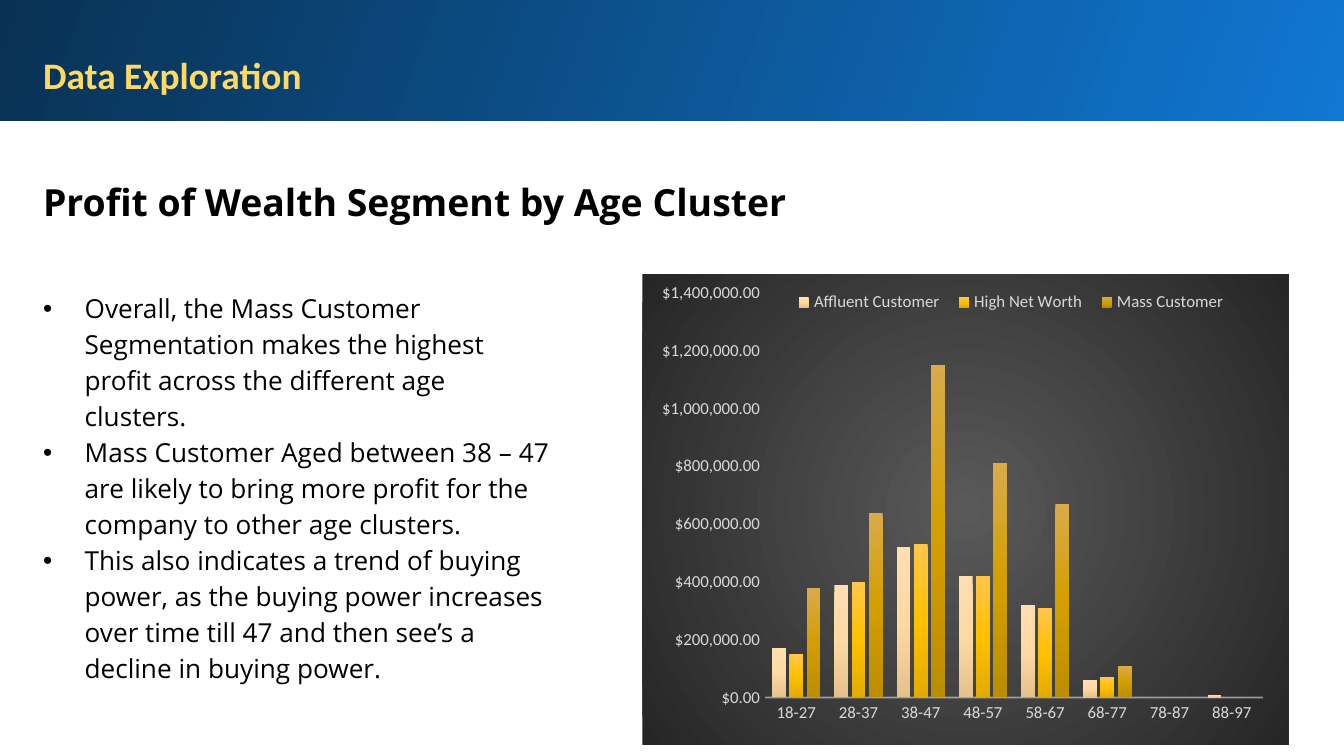
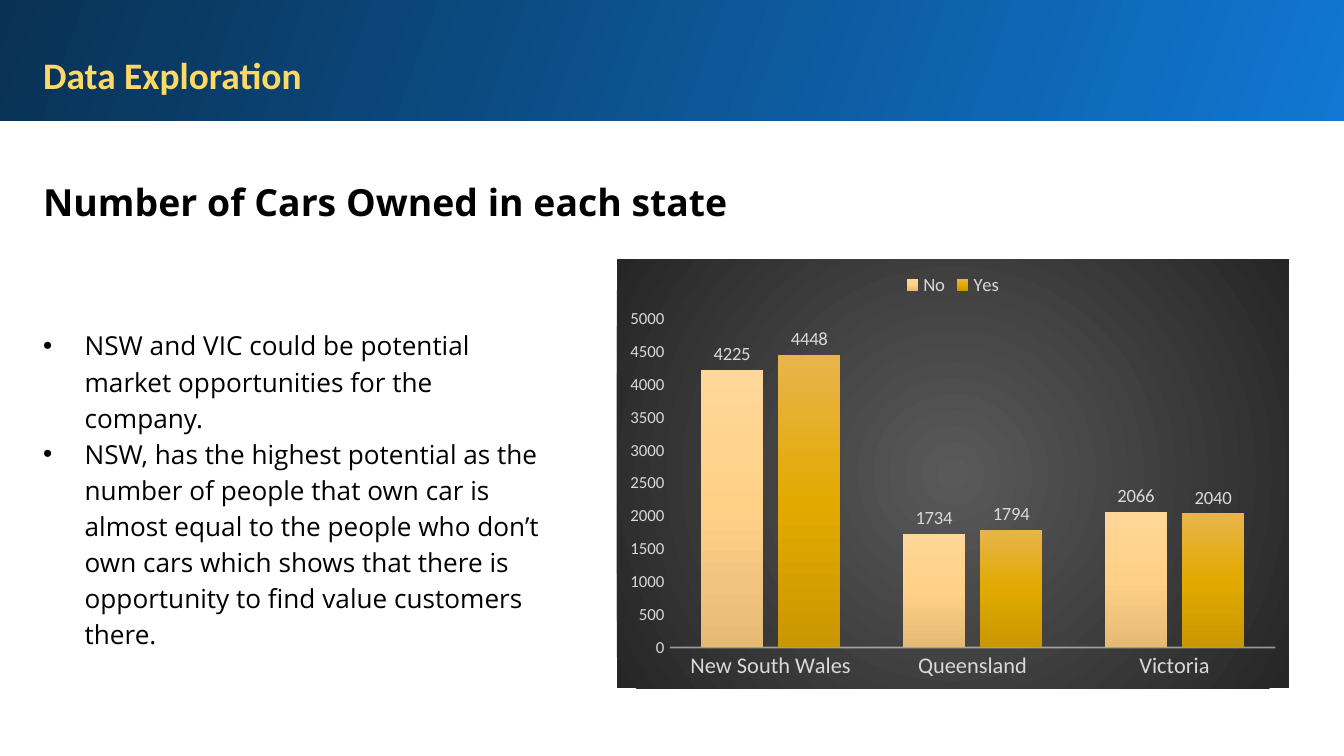
"""Build two data exploration slides with a heading, bullets and a column chart."""
from pptx import Presentation
from pptx import util as u
from pptx.chart.data import CategoryChartData
from pptx.dml.color import RGBColor
from pptx.enum import chart as ch, shapes, text
from pptx.oxml import parse_xml
from pptx.oxml.ns import nsdecls, qn

HUES = {
    "ink": "000000", "pale": "D9D9D9", "axis": "F2F2F2", "gold": "FFC000",
    "band": ["1077D2", "093153"],
    "title": ["FFC000", "FFD966", "FFF2CC"],
    "panel": ["595959", "262626"],
    "peach": ["FFDEB1", "FFD9A2", "E5C18D"],
    "amber": ["FFC64B", "FFC000", "E3AB00"],
    "ochre": ["DAAA4B", "D39F00", "BC8D00"],
    "sand": ["FFD798", "FFD187", "E5BA75"],
    "honey": ["E8B44B", "E2AA00", "C99700"],
}
NS = nsdecls("a", "c")

deck = Presentation()
deck.slide_width, deck.slide_height = u.Inches(10), u.Inches(5.625)
unit = [deck.slide_width / 100, deck.slide_height / 100] * 2

# Left, top, width and height as percent of the slide
SPOTS = {
    "band": (-0.2, -0.36, 100.2, 16.36),
    "title": (2.2, 5.16, 93.7, 9.6),
    "head": (2.2, 20.98, 93.7, 9.96),
    "list1": (2.2, 36.27, 39.9, 57.6),
    "list2": (2.2, 41.24, 39.9, 46.58),
    "chart1": (47.8, 36.27, 48.1, 62.22),
    "chart2": (45.9, 34.31, 50, 56.71),
}
SPOTS = {k: [int(n * q) for n, q in zip(v, unit)] for k, v in SPOTS.items()}


def grad(props, hues, turn=None, stops=(0, 50, 100)):
    """Swap the solid fill in props for a linear or, without turn, radial gradient."""
    marks = "".join(f'<a:gs pos="{s * 1000}"><a:srgbClr val="{h}"/></a:gs>'
                    for s, h in zip(stops, hues))
    way = f'<a:lin ang="{(turn or 0) * 60000}" scaled="0"/>'
    if turn is None:
        way = ('<a:path path="circle"><a:fillToRect l="50000" t="50000" '
               'r="50000" b="50000"/></a:path>')
    props.replace(props.find(qn("a:solidFill")), parse_xml(
        f"<a:gradFill {NS}><a:gsLst>{marks}</a:gsLst>{way}</a:gradFill>"))


def write(shape, lines, spot, size=20, face="Open Sans", bold=False, space=1.15, hang=None):
    """Place the shape, fill it with one paragraph a line and return the last run."""
    shape.left, shape.top, shape.width, shape.height = SPOTS[spot]
    frame = shape.text_frame
    frame.text = "\n".join(lines)
    frame.word_wrap = True
    frame.auto_size = text.MSO_AUTO_SIZE.NONE
    frame.vertical_anchor = text.MSO_ANCHOR.TOP
    for side in ("left", "top", "right", "bottom"):
        setattr(frame, f"margin_{side}", u.Inches(0.1))
    for par in frame.paragraphs:
        par.alignment = text.PP_ALIGN.LEFT
        par.line_spacing, par.space_before = space, u.Pt(0)
        if hang:
            props = par._p.get_or_add_pPr()
            props.set("marL", str(u.Inches(hang)))
            props.set("indent", str(-u.Inches(hang)))
        run = par.runs[0]
        run.font.size, run.font.name, run.font.bold = u.Pt(size), face, bold
        run.font.color.rgb = RGBColor.from_string(HUES["ink"])
    return run


PAGES = [
    {
        "head": "Profit of Wealth Segment by Age Cluster",
        "list": [
            "Overall, the Mass Customer Segmentation makes the highest profit across "
            "the different age clusters.",
            "Mass Customer Aged between 38 – 47 are likely to bring more profit for "
            "the company to other age clusters.",
            "This also indicates a trend of buying power, as the buying power increases "
            "over time till 47 and then see’s a decline in buying power.",
        ],
        "cats": [f"{n}-{n + 9}" for n in range(18, 89, 10)],
        "rows": [
            ("Affluent Customer", "peach",
             [170000, 390000, 520000, 420000, 320000, 60000, 0, 10000]),
            ("High Net Worth", "amber",
             [150000, 400000, 530000, 420000, 310000, 70000, 0, None]),
            ("Mass Customer", "ochre",
             [380000, 640000, 1150000, 810000, 670000, 110000, None, 0]),
        ],
        "top": 1400000, "step": 200000, "form": "[$$-409]#,##0.00",
        "sizes": (9, 9), "labels": False,
        "plot": (0.19, 0.04, 0.77, 0.86), "key": (0.22, 0.03, 0.7, 0.06),
    },
    {
        "head": "Number of Cars Owned in each state",
        "list": [
            "NSW and VIC could be potential market opportunities for the company.",
            "NSW, has the highest potential as the number of people that own car is "
            "almost equal to the people who don’t own cars which shows that there is "
            "opportunity to find value customers there.",
        ],
        "cats": ["New South Wales", "Queensland", "Victoria"],
        "rows": [("No", "sand", [4225, 1734, 2066]),
                 ("Yes", "honey", [4448, 1794, 2040])],
        "top": 5000, "step": 500, "form": "General",
        "sizes": (12, 10), "labels": True,
        "plot": None, "key": None,
    },
]

for num, page in enumerate(PAGES, 1):
    slide = deck.slides.add_slide(deck.slide_layouts[4])
    title, head, body, *spare = slide.placeholders
    for item in spare:
        item._element.getparent().remove(item._element)

    band = slide.shapes.add_shape(shapes.MSO_SHAPE.RECTANGLE, *SPOTS["band"])
    band.shadow.inherit = False
    band.line.fill.background()
    band.fill.solid()
    grad(band._element.spPr, HUES["band"], 200, (0, 100))
    slide.shapes._spTree.insert(2, band._element)

    run = write(title, ["Data Exploration"], "title", face="Calibri", bold=True, space=1.0)
    props = run._r.get_or_add_rPr()
    grad(props, HUES["title"], 90, (0, 4, 87))
    props.insert(0, parse_xml(
        f'<a:ln {NS} w="12700"><a:solidFill><a:srgbClr val="{HUES["gold"]}"/>'
        "</a:solidFill></a:ln>"))
    write(head, [page["head"]], "head", bold=True)
    write(body, page["list"], f"list{num}", size=14, hang=0.31)

    data = CategoryChartData()
    data.categories = page["cats"]
    for name, _, vals in page["rows"]:
        data.add_series(name, vals)
    chart = slide.shapes.add_chart(
        ch.XL_CHART_TYPE.COLUMN_CLUSTERED, *SPOTS[f"chart{num}"], data).chart
    chart.has_title = False
    chart.has_legend = True
    key, plot = chart.legend, chart.plots[0]
    key.position = ch.XL_LEGEND_POSITION.TOP
    key.include_in_layout = False
    plot.gap_width, plot.overlap, plot.vary_by_categories = 100, -24, False
    cat, val = chart.category_axis, chart.value_axis
    val.minimum_scale, val.maximum_scale, val.major_unit = 0, page["top"], page["step"]
    val.has_major_gridlines = False
    val.tick_labels.number_format = page["form"]
    val.tick_labels.number_format_is_linked = False
    val.format.line.fill.background()
    cat.format.line.width = u.Pt(1)
    cat.format.line.color.rgb = RGBColor.from_string(HUES["axis"])
    tint = cat._element.find(f"{qn('c:spPr')}//{qn('a:srgbClr')}")
    tint.append(parse_xml(f'<a:alpha {NS} val="54000"/>'))
    for axis in (cat, val):
        axis.major_tick_mark = axis.minor_tick_mark = ch.XL_TICK_MARK.NONE

    fonts = [(chart.font, 10, "ink"), (cat.tick_labels.font, page["sizes"][0], "pale"),
             (val.tick_labels.font, 9, "pale"), (key.font, page["sizes"][1], "pale")]
    if page["labels"]:
        plot.has_data_labels = True
        tags = plot.data_labels
        tags.show_value, tags.position = True, ch.XL_LABEL_POSITION.OUTSIDE_END
        fonts.append((tags.font, 10, "pale"))
    for font, size, hue in fonts:
        font.size, font.name, font.bold = u.Pt(size), "Calibri", False
        font.color.rgb = RGBColor.from_string(HUES[hue])

    for ser, (_, hue, _) in zip(plot.series, page["rows"]):
        ser.invert_if_negative = False
        ser.format.fill.solid()
        grad(ser._element.find(qn("c:spPr")), HUES[hue], 90)

    root = chart._chartSpace
    back = parse_xml(f"<c:spPr {NS}><a:solidFill/><a:ln><a:noFill/></a:ln></c:spPr>")
    grad(back, HUES["panel"], stops=(0, 100))
    root.find(qn("c:chart")).addnext(back)

    area = root.find(f".//{qn('c:plotArea')}")
    for host, spot, slot in ((area, page["plot"], 0), (key._element, page["key"], 1)):
        if spot:
            for old in host.findall(qn("c:layout")):
                host.remove(old)
            inner = "" if slot else '<c:layoutTarget val="inner"/>'
            modes = "".join(f'<c:{k}Mode val="edge"/>' for k in "xy")
            sizes = "".join(f'<c:{k} val="{n}"/>' for k, n in zip("xywh", spot))
            host.insert(slot, parse_xml(
                f"<c:layout {NS}><c:manualLayout>{inner}{modes}{sizes}"
                "</c:manualLayout></c:layout>"))

deck.save("out.pptx")
